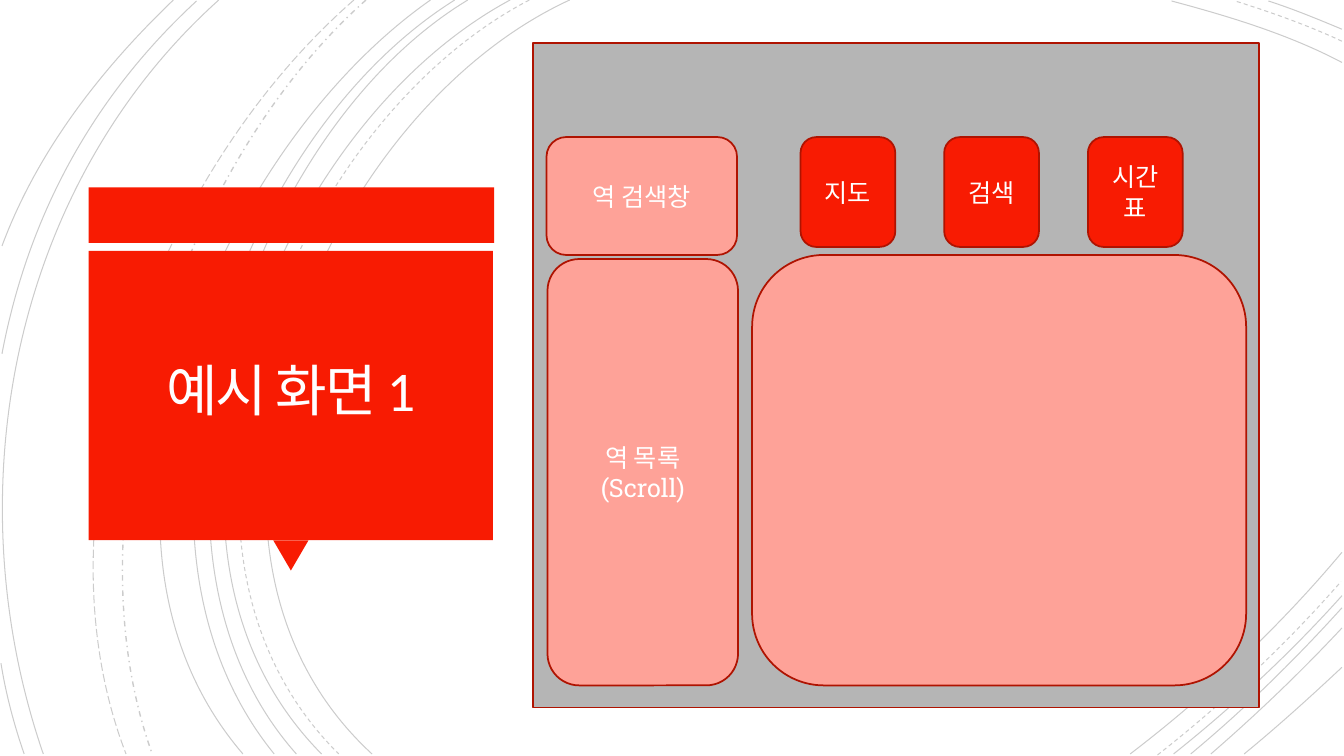
from dataclasses import dataclass

from lxml.etree import SubElement
from pptx import Presentation
from pptx.dml.color import RGBColor
from pptx.enum.dml import MSO_LINE
from pptx.enum.shapes import MSO_SHAPE
from pptx.enum.text import MSO_ANCHOR, PP_ALIGN
from pptx.oxml.ns import qn
from pptx.util import Cm, Pt


@dataclass(frozen=True)
class Theme:
    accent: str = "F81B02"
    border: str = "AF1301"
    pane: str = "FEA298"
    screen: str = "B5B5B5"
    arc: str = "000000"
    arc_opacity: int = 20
    title_color: str = "FFFEFF"
    label_color: str = "FFFFFF"
    title_font: str = "Calibri"
    label_font: str = "Roboto Slab"
    title_size: int = 40
    label_size: int = 18
    title_spacing: float = -1.5
    border_width: float = 1.25


THEME = Theme()

# Positions below are in inches; length() turns them into Cm.
SLIDE_SIZE = (13.33, 7.5)

# Each arc: start, first control, second control, end.
ARCS = {
    (MSO_LINE.SOLID, 0.75): [
        ((5.65, 0), (3.15, 1.15), (1.43, 5.4), (3.69, 7.48)),
        ((13.31, 0.62), (12.78, 0.34), (12.18, 0.16), (11.62, 0.01)),
        ((11.21, 7.48), (11.97, 6.9), (12.69, 6.22), (13.31, 5.48)),
        ((5.06, 0), (2.7, 1.27), (1.1, 5.37), (3.19, 7.48)),
        ((13.31, 0.29), (13.07, 0.19), (12.83, 0.09), (12.58, 0.01)),
        ((11.64, 7.48), (12.23, 7.01), (12.8, 6.48), (13.31, 5.91)),
        ((4.64, 0), (2.44, 1.33), (1.1, 5.41), (2.94, 7.48)),
        ((11.81, 7.48), (12.34, 7.04), (12.84, 6.55), (13.31, 6.03)),
        ((4.51, 0), (2.31, 1.38), (0.97, 5.33), (2.72, 7.48)),
        ((12.01, 7.48), (12.46, 7.09), (12.9, 6.67), (13.31, 6.23)),
        ((4.27, 0), (2.17, 1.47), (0.53, 5.29), (2.41, 7.48)),
        ((12.34, 7.48), (12.67, 7.21), (12.99, 6.92), (13.31, 6.62)),
        ((2.17, 0), (0.11, 1.85), (-0.46, 4.9), (0.43, 7.48)),
        ((1.95, 0.01), (0.92, 0.96), (0.28, 2.14), (0.02, 3.51)),
        ((0.01, 6.58), (0.06, 6.89), (0.14, 7.19), (0.24, 7.48)),
        ((1.72, 0), (1, 0.69), (0.37, 1.5), (0.02, 2.44)),
    ],
    (MSO_LINE.DASH, 0.75): [
        ((5.25, 0), (2.85, 1.25), (1.23, 5.37), (3.36, 7.48)),
        ((13.31, 0.41), (12.97, 0.25), (12.6, 0.12), (12.25, 0.01)),
        ((11.48, 7.49), (12.13, 6.98), (12.75, 6.4), (13.3, 5.77)),
    ],
    (MSO_LINE.DASH_DOT, 1): [
        ((3.63, 0), (1.76, 1.66), (0.65, 5.09), (1.51, 7.48)),
    ],
    (MSO_LINE.LONG_DASH, 0.75): [
        ((3.51, 0), (1.57, 1.69), (0.29, 4.99), (1.25, 7.48)),
    ],
}

TITLE = "예시 화면 1"
TITLE_BOX = (0.97, 2.57, 3.83, 2.69)
TITLE_INSET = 0.25
BANNER = (0.88, 1.86, 4.02, 0.55)
POINTER = (2.71, 5.36, 0.35, 0.3)
TITLE_PANEL = (0.88, 2.49, 4.01, 2.87)

SCREEN = (5.29, 0.43, 7.2, 6.59)
PANES = [
    ((5.43, 2.57, 1.89, 4.23), ["역 목록", "(Scroll)"]),
    ((5.42, 1.36, 1.89, 1.17), ["역 검색창"]),
    ((7.46, 2.53, 4.9, 4.27), []),
]
BUTTONS = ["지도", "검색", "시간표"]
FIRST_BUTTON = (7.94, 1.36, 0.94, 1.09)
BUTTON_PITCH = 1.425


def length(inches):
    return Cm(inches * 2.54)


def color(value):
    return RGBColor.from_string(value)


def add_arc(slide, points, dash, width):
    """Draw one open cubic curve through a freeform outline."""
    start, *others = [(length(x), length(y)) for x, y in points]
    builder = slide.shapes.build_freeform(*start)
    builder.add_line_segments(others, close=False)
    shape = builder.convert_to_shape()
    path = next(shape.element.iter(qn("a:path")))
    curve = SubElement(path, qn("a:cubicBezTo"))
    for segment in path.findall(qn("a:lnTo")):
        curve.append(segment[0])
        path.remove(segment)
    shape.shadow.inherit = False
    shape.fill.background()
    shape.line.color.rgb = color(THEME.arc)
    shape.line.width = Pt(width)
    shape.line.dash_style = dash
    line_color = shape.element.find(".//" + qn("a:ln")).find(".//" + qn("a:srgbClr"))
    SubElement(line_color, qn("a:alpha")).set("val", str(THEME.arc_opacity * 1000))


def add_block(slide, kind, box, fill, bordered=True):
    shape = slide.shapes.add_shape(kind, *map(length, box))
    shape.shadow.inherit = False
    shape.fill.solid()
    shape.fill.fore_color.rgb = color(fill)
    if bordered:
        shape.line.color.rgb = color(THEME.border)
        shape.line.width = Pt(THEME.border_width)
    else:
        shape.line.fill.background()
    return shape


def write_centred(shape, lines, font, size, text_color):
    frame = shape.text_frame
    frame.word_wrap = True
    frame.vertical_anchor = MSO_ANCHOR.MIDDLE
    for index, text in enumerate(lines):
        paragraph = frame.add_paragraph() if index else frame.paragraphs[0]
        paragraph.alignment = PP_ALIGN.CENTER
        run = paragraph.add_run()
        run.text = text
        run.font.name = font
        run.font.size = Pt(size)
        run.font.color.rgb = color(text_color)
    return frame


def add_title(slide):
    add_block(slide, MSO_SHAPE.RECTANGLE, BANNER, THEME.accent, bordered=False)
    pointer = add_block(slide, MSO_SHAPE.ISOSCELES_TRIANGLE, POINTER, THEME.accent, bordered=False)
    pointer.rotation = 180
    add_block(slide, MSO_SHAPE.RECTANGLE, TITLE_PANEL, THEME.accent, bordered=False)
    box = slide.shapes.add_textbox(*map(length, TITLE_BOX))
    frame = write_centred(box, [TITLE], THEME.title_font, THEME.title_size, THEME.title_color)
    frame.margin_left = frame.margin_right = length(TITLE_INSET)
    frame.margin_top = frame.margin_bottom = length(TITLE_INSET)
    frame.paragraphs[0].line_spacing = 0.85
    properties = next(box.element.iter(qn("a:rPr")))
    properties.set("spc", str(int(THEME.title_spacing * 100)))


def add_screen(slide):
    add_block(slide, MSO_SHAPE.RECTANGLE, SCREEN, THEME.screen)
    left, top, width, height = FIRST_BUTTON
    parts = [(box, lines, THEME.pane) for box, lines in PANES]
    parts += [
        ((left + index * BUTTON_PITCH, top, width, height), [label], THEME.accent)
        for index, label in enumerate(BUTTONS)
    ]
    for box, lines, fill in parts:
        shape = add_block(slide, MSO_SHAPE.ROUNDED_RECTANGLE, box, fill)
        write_centred(shape, lines, THEME.label_font, THEME.label_size, THEME.label_color)


def main():
    presentation = Presentation()
    presentation.slide_width, presentation.slide_height = map(length, SLIDE_SIZE)
    slide = presentation.slides.add_slide(presentation.slide_layouts[6])
    for (dash, width), arcs in ARCS.items():
        for points in arcs:
            add_arc(slide, points, dash, width)
    add_title(slide)
    add_screen(slide)
    presentation.save("out.pptx")


if __name__ == "__main__":
    main()
